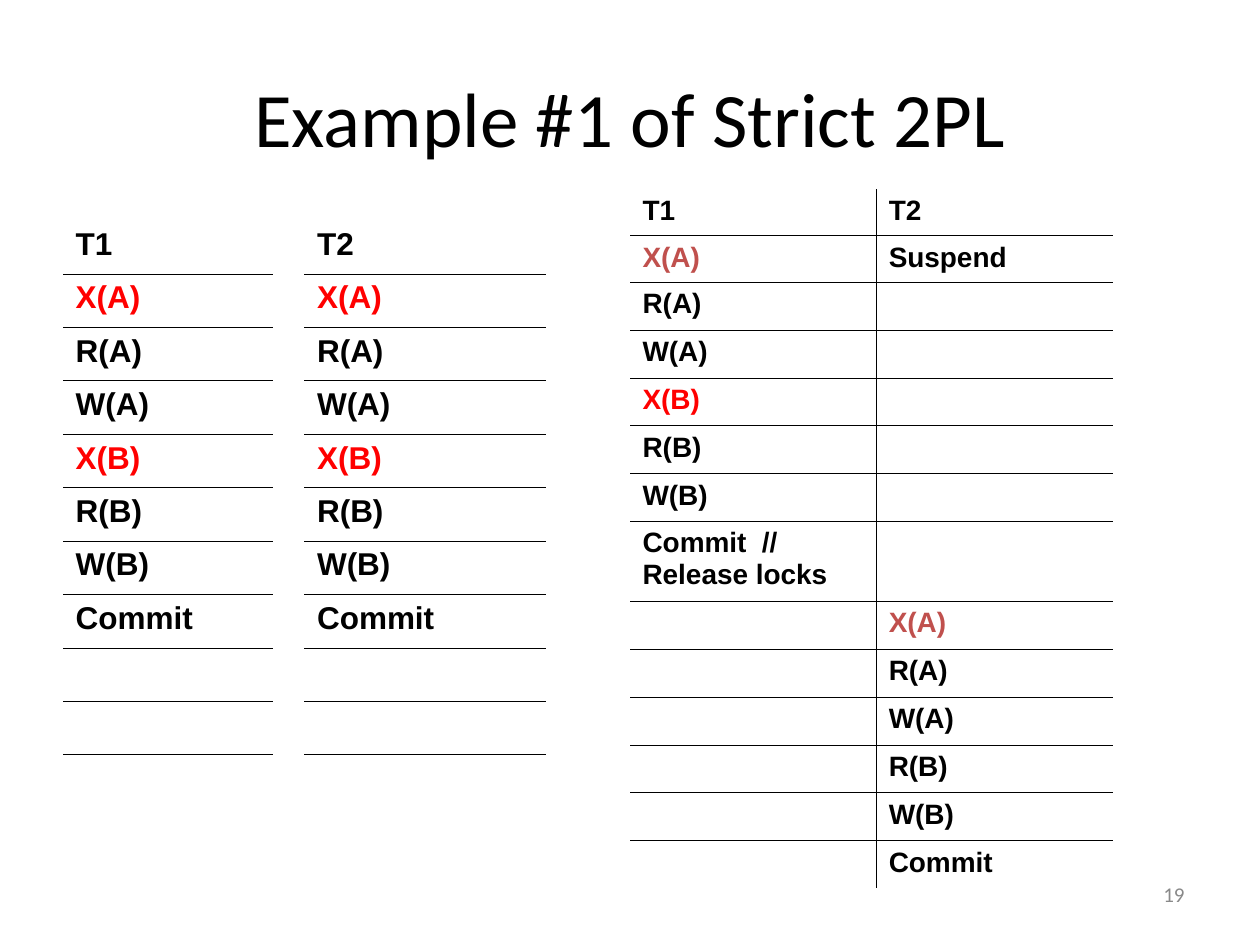
from lxml import etree
from pptx import Presentation
from pptx.dml.color import RGBColor
from pptx.enum.text import MSO_ANCHOR, PP_ALIGN
from pptx.oxml.ns import qn
from pptx.util import Pt

MIDDLE = MSO_ANCHOR.MIDDLE
CENTER, RIGHT = PP_ALIGN.CENTER, PP_ALIGN.RIGHT
COLORS = {"text": "000000", "lock": "FF0000", "first_lock": "C0504D", "number": "898989"}
RULE_WIDTH = 0.45

STEPS = ["X(A)", "R(A)", "W(A)", "X(B)", "R(B)", "W(B)", "Commit"]
LOCKS = {"X(A)": "lock", "X(B)": "lock"}
SCHEDULE_LOCKS = {"X(A)": "first_lock", "X(B)": "lock"}


def style_span(span, size, font, color, bold=False):
    span.font.size = Pt(size)
    span.font.name = font
    span.font.bold = bold
    span.font.color.rgb = RGBColor.from_string(COLORS[color])


def add_label(page, box, text, size, color, align):
    label = page.shapes.add_textbox(*map(Pt, box))
    frame = label.text_frame
    frame.word_wrap = True
    frame.vertical_anchor = MIDDLE
    frame.text = text
    para = frame.paragraphs[0]
    para.alignment = align
    style_span(para.runs[0], size, "Calibri", color)


def set_borders(cell, sides):
    """Rule the named sides of a cell and clear the others."""
    props = cell._tc.get_or_add_tcPr()
    for index, side in enumerate("LRTB"):
        line = etree.Element(qn(f"a:ln{side}"), w=str(Pt(RULE_WIDTH)))
        if side in sides:
            fill = etree.SubElement(line, qn("a:solidFill"))
            etree.SubElement(fill, qn("a:srgbClr"), val=COLORS["text"])
        else:
            etree.SubElement(line, qn("a:noFill"))
        props.insert(index, line)


def fill_cell(cell, text, size, color):
    cell.fill.background()
    cell.text = text
    para = cell.text_frame.paragraphs[0]
    para.space_before = Pt(size / 4)
    if text:
        style_span(para.runs[0], size, "Arial", color, bold=True)
    else:
        # An empty cell keeps the text size, so that its row does not grow
        etree.SubElement(para._p, qn("a:endParaRPr"), sz=str(size * 100))


def add_schedule(page, box, rows, widths, heights, size, locks):
    """Table with rules only between its rows and columns."""
    shape = page.shapes.add_table(len(rows), len(widths), *map(Pt, box))
    table = shape.table
    table.first_row = table.horz_banding = False
    for column, width in zip(table.columns, widths):
        column.width = Pt(width)
    for r, (texts, height) in enumerate(zip(rows, heights)):
        table.rows[r].height = Pt(height)
        for c, text in enumerate(texts):
            cell = table.cell(r, c)
            fill_cell(cell, text, size, locks.get(text, "text"))
            inner = {"L": c > 0, "R": c < len(widths) - 1,
                     "T": r > 0, "B": r < len(rows) - 1}
            set_borders(cell, [side for side, ruled in inner.items() if ruled])


def add_transaction(page, box, name):
    """One transaction's steps, followed by three empty rows."""
    rows = [[text] for text in [name, *STEPS, "", "", ""]]
    heights = [box[3] / len(rows)] * len(rows)
    add_schedule(page, box, rows, [box[2]], heights, 18, LOCKS)


def add_interleaving(page, box):
    """T1 runs to its commit while T2 is suspended, then T2 runs."""
    first = [*STEPS[:-1], "Commit  // Release locks"]
    second = [step for step in STEPS if step != "X(B)"]
    rows = [["T1", "T2"], [first[0], "Suspend"]]
    rows += [[step, ""] for step in first[1:]]
    rows += [["", step] for step in second]
    heights = [26.7] * 2 + [27.35] * (len(rows) - 2)
    heights[len(first)] = 45.7
    widths = [140.7, box[2] - 140.7]
    add_schedule(page, box, rows, widths, heights, 16, SCHEDULE_LOCKS)


def main():
    deck = Presentation()
    deck.slide_width, deck.slide_height = Pt(720), Pt(540)
    page = deck.slides.add_slide(deck.slide_layouts[6])

    # Title
    add_label(page, (36, 21.6, 648, 90), "Example #1 of Strict 2PL", 44, "text", CENTER)
    # Separate transactions on the left
    add_transaction(page, (36, 126, 120, 336), "T1")
    add_transaction(page, (174, 126, 138, 336), "T2")
    # Combined schedule on the right
    add_interleaving(page, (360, 108, 276, 400))
    # Slide number
    add_label(page, (516, 492, 168, 37.5), "19", 12, "number", RIGHT)

    deck.save("out.pptx")


if __name__ == "__main__":
    main()
